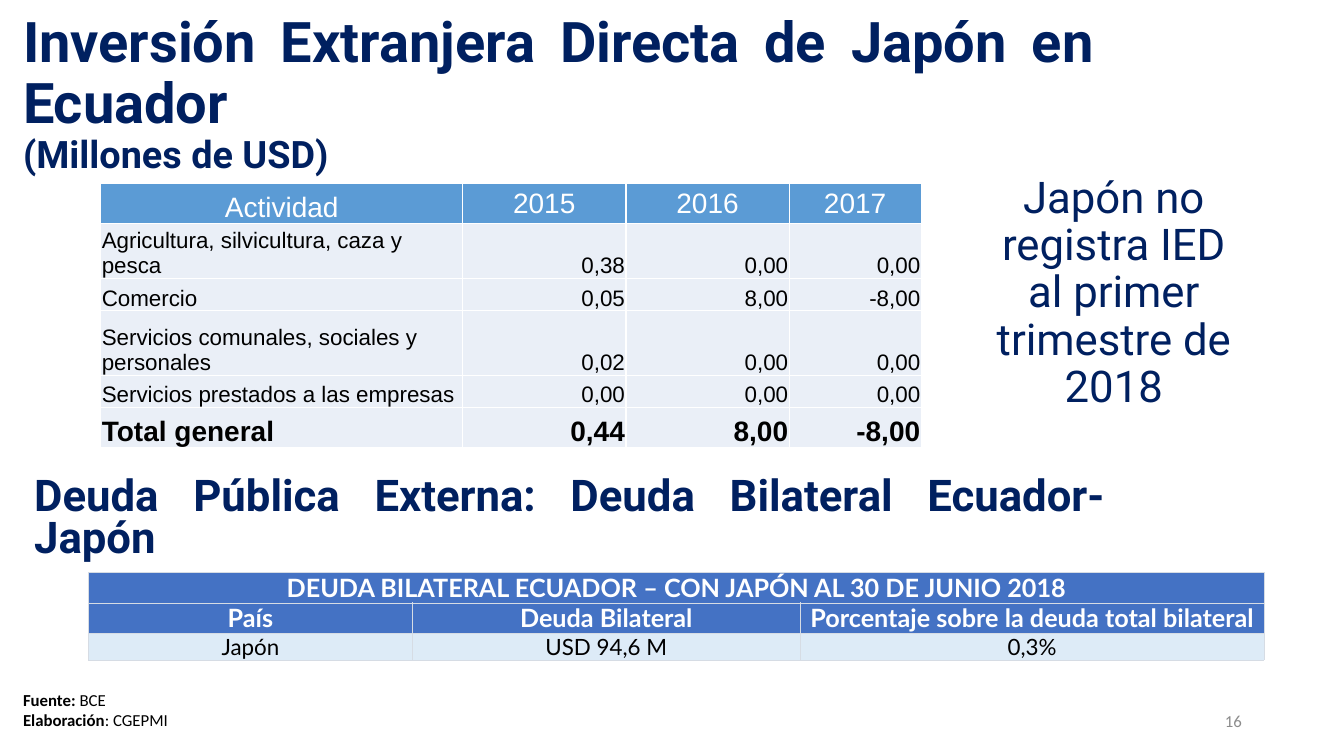
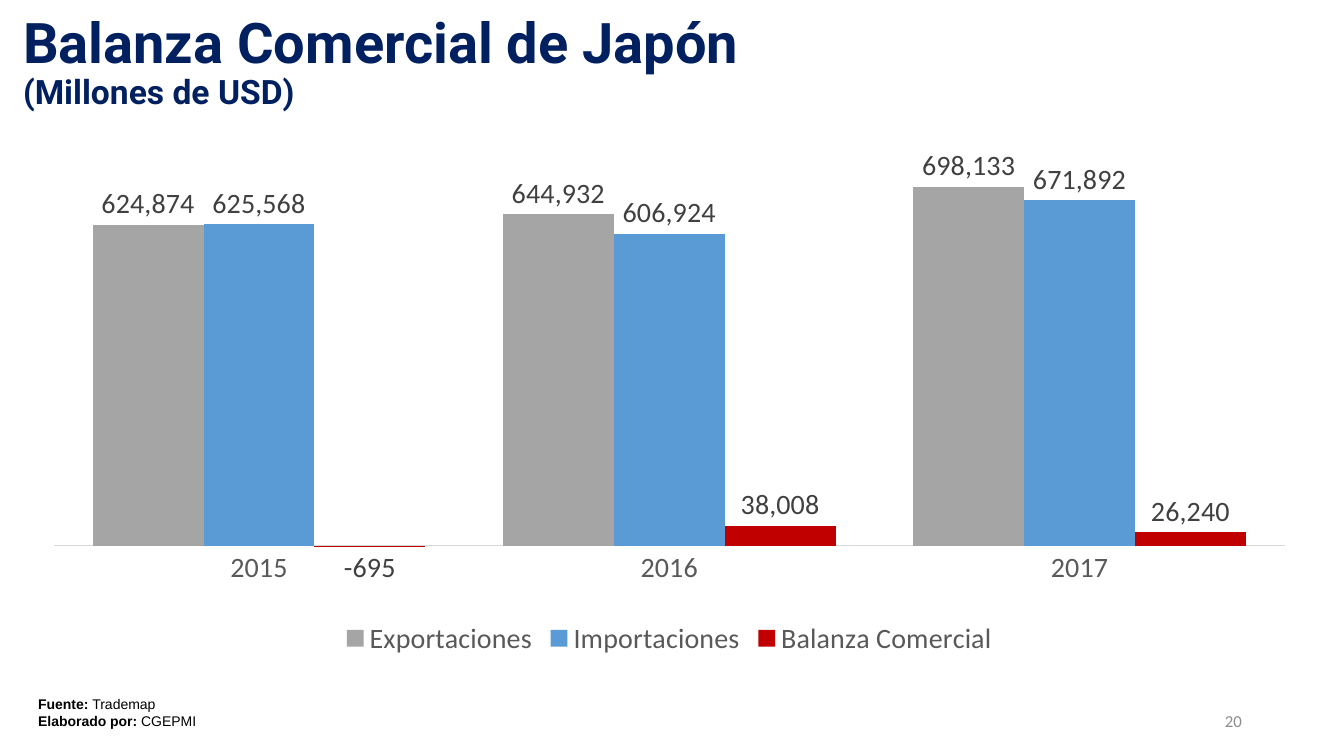
from lxml import etree
from pptx import Presentation
from pptx.chart.data import CategoryChartData
from pptx.dml.color import RGBColor
from pptx.enum.chart import XL_CHART_TYPE, XL_LABEL_POSITION, XL_LEGEND_POSITION, XL_TICK_MARK
from pptx.enum.text import MSO_ANCHOR, PP_ALIGN
from pptx.oxml.ns import qn
from pptx.util import Inches, Pt

LEFT, CENTER, RIGHT, JUSTIFY = PP_ALIGN.LEFT, PP_ALIGN.CENTER, PP_ALIGN.RIGHT, PP_ALIGN.JUSTIFY
TOP, MIDDLE, BOTTOM = MSO_ANCHOR.TOP, MSO_ANCHOR.MIDDLE, MSO_ANCHOR.BOTTOM
COLUMNS = XL_CHART_TYPE.COLUMN_CLUSTERED
OUTSIDE_END = XL_LABEL_POSITION.OUTSIDE_END
LEGEND_BOTTOM = XL_LEGEND_POSITION.BOTTOM
NO_TICK = XL_TICK_MARK.NONE

COLORS = {
    "navy": "002060", "black": "000000", "white": "FFFFFF", "page": "8C8C8C",
    "blue": "5B9BD5", "pale": "EAEFF7", "royal": "4472C4", "sky": "DDEBF7",
    "border": "D6DCE4", "gray": "A5A5A5", "red": "C00000",
    "axis": "D9D9D9", "axis_text": "595959", "label": "404040",
}

UNITS = "(Millones de USD)"
INVESTMENT_TITLE = "Inversión Extranjera Directa de Japón en Ecuador"
INVESTMENT_NOTE = "Japón no registra IED al primer trimestre de 2018"
INVESTMENT = [
    ("Actividad", "2015", "2016", "2017"),
    ("Agricultura, silvicultura, caza y pesca", "0,38", "0,00", "0,00"),
    ("Comercio", "0,05", "8,00", "-8,00"),
    ("Servicios comunales, sociales y personales", "0,02", "0,00", "0,00"),
    ("Servicios prestados a las empresas", "0,00", "0,00", "0,00"),
    ("Total general", "0,44", "8,00", "-8,00"),
]
DEBT_TITLE = "Deuda Pública Externa: Deuda Bilateral Ecuador- Japón"
DEBT = [
    ("DEUDA BILATERAL ECUADOR – CON JAPÓN AL 30 DE JUNIO 2018", "", ""),
    ("País", "Deuda Bilateral", "Porcentaje sobre la deuda total bilateral"),
    ("Japón", "USD 94,6 M", "0,3%"),
]
INVESTMENT_SOURCE = [("Fuente: ", "BCE"), ("Elaboración", ": CGEPMI")]

TRADE_TITLE = "Balanza Comercial de Japón"
TRADE_YEARS = ["2015", "2016", "2017"]
TRADE = [
    ("Exportaciones", (624874000, 644932000, 698133000), "gray"),
    ("Importaciones", (625568000, 606924000, 671892000), "blue"),
    ("Balanza Comercial", (-695000, 38008000, 26240000), "red"),
]
TRADE_FORMAT = "##,##0,"
TRADE_SOURCE = [("Fuente: ", "Trademap"), ("Elaborado por: ", "CGEPMI")]


def rgb(name):
    return RGBColor.from_string(COLORS[name])


def style(font, face, size, color, bold=False):
    font.name = face
    font.size = Pt(size)
    font.bold = bold
    font.color.rgb = rgb(color)


def add_text(slide, box, lines, face, color, align=LEFT, anchor=TOP, spacing=None):
    frame = slide.shapes.add_textbox(*map(Inches, box)).text_frame
    frame.word_wrap = True
    frame.vertical_anchor = anchor
    for index, runs in enumerate(lines):
        paragraph = frame.add_paragraph() if index else frame.paragraphs[0]
        paragraph.alignment = align
        paragraph.line_spacing = spacing
        for text, size, bold in runs:
            if text == "\n":
                paragraph.add_line_break()
                continue
            run = paragraph.add_run()
            run.text = text
            style(run.font, face, size, color, bold)


def add_title(slide, box, title, units_size, align):
    runs = [(title, 40, True), ("\n", 40, True), (UNITS, units_size, True)]
    add_text(slide, box, [runs], "Roboto", "navy", align, MIDDLE, 0.9)


def add_footer(slide, box, source, face, size, page):
    lines = [[(label, size, True), (name, size, False)] for label, name in source]
    add_text(slide, box, lines, face, "black")
    add_text(slide, (9.42, 6.95, 3, 0.4), [[(page, 12, False)]], "Calibri", "page", RIGHT, MIDDLE)


def add_borders(cell, color, width):
    properties = cell._tc.get_or_add_tcPr()
    for side in ("a:lnL", "a:lnR", "a:lnT", "a:lnB"):
        line = etree.SubElement(properties, qn(side), w=str(Pt(width)))
        fill = etree.SubElement(line, qn("a:solidFill"))
        etree.SubElement(fill, qn("a:srgbClr"), val=COLORS[color])


def add_grid(slide, left, top, widths, heights, rows, border, inset, cell_style):
    frame = slide.shapes.add_table(len(rows), len(widths), Inches(left), Inches(top),
                                   Inches(sum(widths)), Inches(sum(heights)))
    table = frame.table
    table.first_row = table.horz_banding = False
    for column, width in zip(table.columns, widths):
        column.width = Inches(width)
    for row, height in zip(table.rows, heights):
        row.height = Inches(height)
    for r, values in enumerate(rows):
        for c, value in enumerate(values):
            cell = table.cell(r, c)
            fill, align, anchor, font = cell_style(r, c)
            add_borders(cell, *border)
            cell.fill.solid()
            cell.fill.fore_color.rgb = rgb(fill)
            cell.margin_left = cell.margin_right = cell.margin_top = Inches(inset)
            cell.margin_bottom = 0
            cell.vertical_anchor = anchor
            paragraph = cell.text_frame.paragraphs[0]
            paragraph.text = value
            paragraph.alignment = align
            style(paragraph.font, *font)
            for run in paragraph.runs:
                style(run.font, *font)
    return table


def investment_style(row, column):
    if row == 0:
        return "blue", CENTER, MIDDLE if column else BOTTOM, ("Arial", 20, "white")
    total = row == len(INVESTMENT) - 1
    font = ("Arial", 20 if total else 16, "black", total)
    return "pale", RIGHT if column else LEFT, BOTTOM, font


def debt_style(row, column):
    if row < 2:
        return "royal", CENTER, MIDDLE, ("Lato", 18, "white", True)
    return "sky", CENTER, BOTTOM if column else MIDDLE, ("Lato", 16, "black")


def add_trade_chart(slide):
    data = CategoryChartData(number_format=TRADE_FORMAT)
    data.categories = TRADE_YEARS
    for name, values, _ in TRADE:
        data.add_series(name, values)
    box = map(Inches, (0.28, 1.23, 12.72, 5.33))
    chart = slide.shapes.add_chart(COLUMNS, *box, data).chart
    chart.has_title = False
    style(chart.font, "Calibri", 20, "black")
    chart.has_legend = True
    chart.legend.position = LEGEND_BOTTOM
    chart.legend.include_in_layout = False
    style(chart.legend.font, "Calibri", 20, "axis_text")

    years = chart.category_axis
    years.major_tick_mark = NO_TICK
    years.format.line.color.rgb = rgb("axis")
    years.format.line.width = Pt(0.75)
    style(years.tick_labels.font, "Calibri", 20, "axis_text")
    amounts = chart.value_axis
    amounts.visible = False
    amounts.has_major_gridlines = False
    amounts.minimum_scale, amounts.maximum_scale = -100000000, 800000000

    plot = chart.plots[0]
    plot.gap_width = 70
    plot.overlap = 0
    plot.vary_by_categories = False
    for series, (_, _, color) in zip(plot.series, TRADE):
        series.invert_if_negative = False
        series.format.fill.solid()
        series.format.fill.fore_color.rgb = rgb(color)
        labels = series.data_labels
        labels.show_value = True
        labels.position = OUTSIDE_END
        labels.number_format = TRADE_FORMAT
        labels.number_format_is_linked = False
        style(labels.font, "Calibri", 20, "label")


def build_investment(slide):
    add_title(slide, (0.13, 0.22, 10.82, 1.45), INVESTMENT_TITLE, 27, JUSTIFY)
    add_grid(slide, 1, 1.82, (3.59, 1.62, 1.62, 1.31), (0.4, 0.32, 0.32, 0.64, 0.32, 0.4),
             INVESTMENT, ("white", 1), 0.01, investment_style)
    add_text(slide, (9.68, 1.88, 2.74, 2.07), [[(INVESTMENT_NOTE, 31.2, False)]],
             "Roboto", "navy", CENTER, MIDDLE, 0.9)
    add_text(slide, (0.24, 4.88, 10.82, 0.55), [[(DEBT_TITLE, 31.2, True)]],
             "Roboto", "navy", JUSTIFY, MIDDLE, 0.8)
    debt = add_grid(slide, 0.88, 5.68, (3.21, 3.85, 4.6), (0.29, 0.3, 0.26),
                    DEBT, ("border", 0.5), 0, debt_style)
    debt.cell(0, 0).merge(debt.cell(0, 2))
    add_footer(slide, (0.13, 6.79, 5.69, 0.71), INVESTMENT_SOURCE, "Calibri", 12, "16")


def build_trade(slide):
    add_title(slide, (0.13, 0.02, 9.68, 1.22), TRADE_TITLE, 24, LEFT)
    add_trade_chart(slide)
    add_footer(slide, (0.28, 6.85, 5.59, 0.44), TRADE_SOURCE, "Arial", 10, "20")


def main():
    deck = Presentation()
    deck.slide_width, deck.slide_height = Inches(40 / 3), Inches(7.5)
    for build in (build_investment, build_trade):
        build(deck.slides.add_slide(deck.slide_layouts[6]))
    deck.save("out.pptx")


if __name__ == "__main__":
    main()
